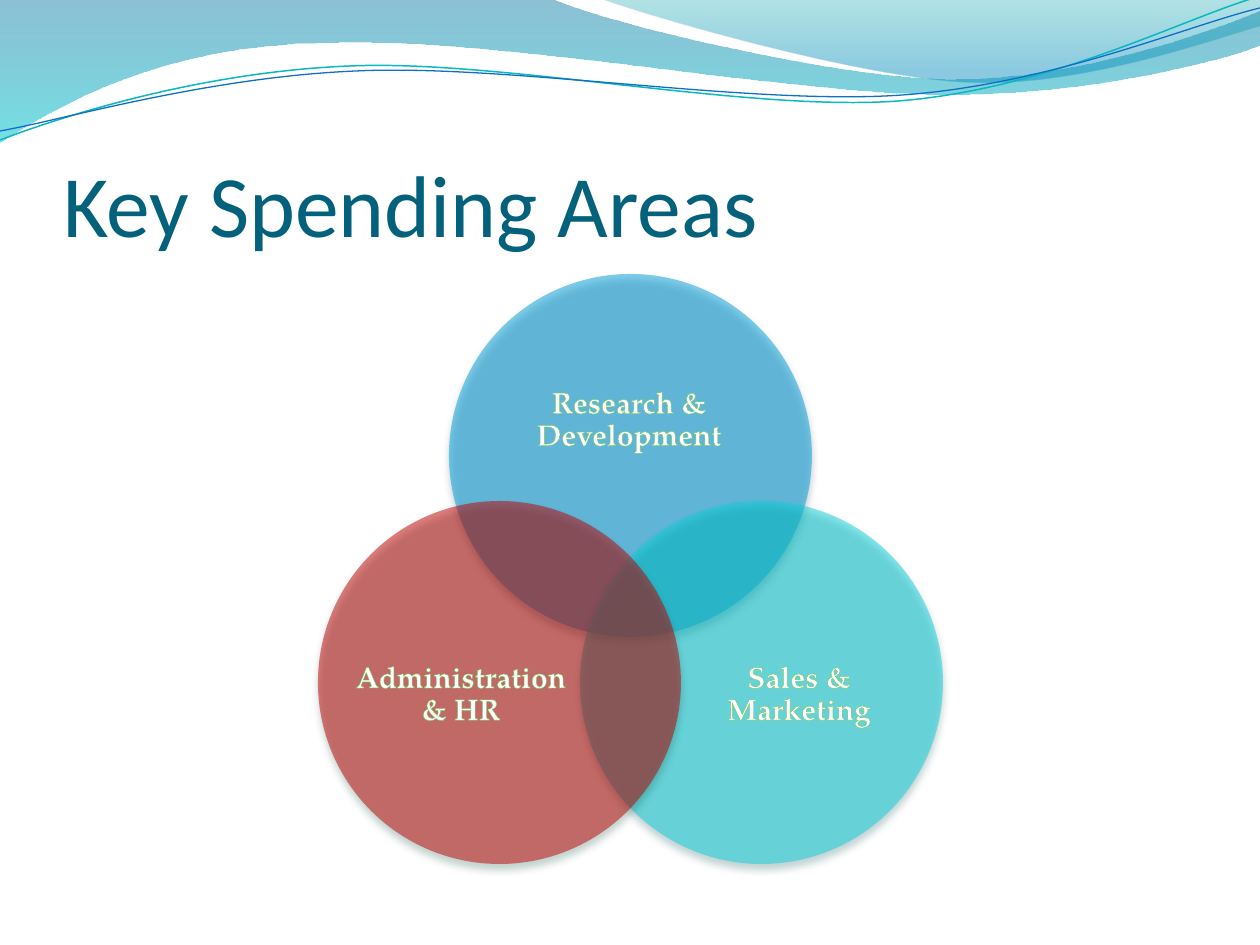
"""Build the Key Spending Areas slide with a wave header and a three-circle Venn diagram."""
from typing import NamedTuple

from lxml import etree
from pptx import Presentation
from pptx.dml.color import RGBColor
from pptx.enum.shapes import MSO_SHAPE
from pptx.enum.text import MSO_ANCHOR, MSO_AUTO_SIZE, PP_ALIGN
from pptx.oxml.ns import qn
from pptx.util import Emu, Pt

CIRCLE = MSO_SHAPE.OVAL
MIDDLE, BOTTOM = MSO_ANCHOR.MIDDLE, MSO_ANCHOR.BOTTOM
CENTER, LEFT = PP_ALIGN.CENTER, PP_ALIGN.LEFT
NO_AUTOFIT = MSO_AUTO_SIZE.NONE
SCALE = 914400 / 126
DIAMETER = 363
TITLE_ONLY = 5

COLORS = {
    "title": "04617B", "label": "FFFFFF", "label_edge": "7CCA62",
    "research": "009DD9", "sales": "0BD0D9", "admin": "C00000",
    "research_shadow": "00374C", "sales_shadow": "024B4E", "admin_shadow": "044A37",
    "wave_blue": "0074A1", "wave_cyan": "00C6CF",
    "crest_teal": "00A1A9", "crest_blue": "008BBF",
    "line_teal": "0AB8BF", "line_blue": "0F6FC6",
}


class Stop(NamedTuple):
    position: float
    color: str
    opacity: int


class Outline(NamedTuple):
    """A start point and segments: one point is a line, three are a Bézier curve."""
    start: tuple
    segments: tuple


class Wave(NamedTuple):
    outline: Outline
    stops: tuple


class Ripple(NamedTuple):
    outline: Outline
    color: str
    points: float


class Area(NamedTuple):
    name: str
    color: str
    left: int
    top: int
    label_box: tuple


WAVES = (
    Wave(Outline((0, 0), (
        ((554, 0),),
        ((600, 21), (837, 79), (955, 79)),
        ((1075, 79), (1207, 33), (1260, 11)),
        ((1260, 45),),
        ((1239, 55), (1096, 96), (940, 94)),
        ((784, 94), (481, 35), (324, 43)),
        ((163, 45), (58, 105), (0, 142)))),
        (Stop(0, "wave_blue", 45), Stop(1, "wave_cyan", 55))),
    Wave(Outline((604, 0), (
        ((641, 14), (859, 78), (969, 82)),
        ((1079, 87), (1211, 40), (1260, 26)),
        ((1260, 0),))),
        (Stop(0, "crest_teal", 30), Stop(0.8, "crest_blue", 45))),
)
RIPPLES = (
    Ripple(Outline((0, 140), (
        ((60, 117), (199, 72), (349, 66)),
        ((498, 59), (747, 112), (898, 101)),
        ((1050, 89), (1182, 19), (1257, -3)))), "line_teal", 0.85),
    Ripple(Outline((0, 131), (
        ((59, 121), (207, 77), (357, 71)),
        ((508, 64), (752, 106), (903, 95)),
        ((1053, 84), (1186, 26), (1260, 8)))), "line_blue", 0.75),
)
AREAS = (
    Area("Research & Development", "research", 449, 274, (496, 338, 266, 164)),
    Area("Sales & Marketing", "sales", 580, 501, (690, 595, 218, 199)),
    Area("Administration & HR", "admin", 318, 501, (352, 595, 218, 199)),
)


def px(length: int) -> Emu:
    return Emu(round(length * SCALE))


def rgb(name: str) -> RGBColor:
    return RGBColor.from_string(COLORS[name])


def set_opacity(color_parent, percent: int) -> None:
    color = color_parent.find(".//" + qn("a:srgbClr"))
    etree.SubElement(color, qn("a:alpha"), val=str(percent * 1000))


def draw_outline(slide, outline: Outline, closed: bool):
    points = [point for segment in outline.segments for point in segment]
    builder = slide.shapes.build_freeform(*outline.start, scale=SCALE)
    builder.add_line_segments(points, close=closed)
    shape = builder.convert_to_shape()
    steps = iter(list(shape._element.iter(qn("a:lnTo"))))
    for segment in outline.segments:
        corners = [next(steps) for _ in segment]
        if len(corners) == 3:
            curve = etree.Element(qn("a:cubicBezTo"))
            corners[0].addprevious(curve)
            for corner in corners:
                curve.append(corner[0])
                corner.getparent().remove(corner)
    shape.shadow.inherit = False
    return shape


def draw_wave(slide, wave: Wave) -> None:
    shape = draw_outline(slide, wave.outline, True)
    shape.line.fill.background()
    shape.fill.gradient()
    shape.fill.gradient_angle = 270
    for target, stop in zip(shape.fill.gradient_stops, wave.stops):
        target.position = stop.position
        target.color.rgb = rgb(stop.color)
    for element, stop in zip(shape._element.iter(qn("a:gs")), wave.stops):
        set_opacity(element, stop.opacity)


def draw_ripple(slide, ripple: Ripple) -> None:
    shape = draw_outline(slide, ripple.outline, False)
    shape.fill.background()
    shape.line.color.rgb = rgb(ripple.color)
    shape.line.width = Pt(ripple.points)


def draw_circle(slide, area: Area) -> None:
    circle = slide.shapes.add_shape(
        CIRCLE, px(area.left), px(area.top), px(DIAMETER), px(DIAMETER))
    circle.fill.solid()
    circle.fill.fore_color.rgb = rgb(area.color)
    set_opacity(circle._element.spPr.find(qn("a:solidFill")), 50)
    circle.line.fill.background()
    circle.shadow.inherit = False
    effects = circle._element.spPr.find(qn("a:effectLst"))
    shadow = etree.SubElement(
        effects, qn("a:outerShdw"), blurRad=str(Pt(4.5)), dist=str(Pt(3)),
        dir="5400000", rotWithShape="0")
    etree.SubElement(shadow, qn("a:srgbClr"), val=COLORS[area.color + "_shadow"])
    set_opacity(shadow, 48)


def draw_label(slide, area: Area) -> None:
    frame = slide.shapes.add_textbox(*map(px, area.label_box)).text_frame
    frame.word_wrap = True
    frame.vertical_anchor = MIDDLE
    frame.margin_left = frame.margin_right = frame.margin_top = frame.margin_bottom = 0
    frame.text = area.name
    paragraph = frame.paragraphs[0]
    paragraph.alignment = CENTER
    paragraph.line_spacing = 0.9
    run = paragraph.runs[0]
    run.font.name, run.font.size, run.font.bold = "TeX Gyre Pagella", Pt(17), True
    run.font.color.rgb = rgb("label")
    edge = etree.Element(qn("a:ln"), w=str(Pt(0.8)))
    fill = etree.SubElement(edge, qn("a:solidFill"))
    etree.SubElement(fill, qn("a:srgbClr"), val=COLORS["label_edge"])
    run._r.get_or_add_rPr().insert(0, edge)


def set_title(slide, wording: str) -> None:
    title = slide.shapes.title
    title.left, title.top, title.width, title.height = map(px, (63, 97, 1134, 158))
    frame = title.text_frame
    frame.text = wording
    frame.auto_size = NO_AUTOFIT
    frame.vertical_anchor = BOTTOM
    frame.margin_left = frame.margin_right = frame.margin_bottom = 0
    frame.margin_top = px(6)
    frame.paragraphs[0].alignment = LEFT
    font = frame.paragraphs[0].runs[0].font
    font.name, font.size = "Calibri", Pt(50)
    font.color.rgb = rgb("title")


def main() -> None:
    deck = Presentation()
    deck.slide_width, deck.slide_height = px(1260), px(945)
    slide = deck.slides.add_slide(deck.slide_layouts[TITLE_ONLY])
    set_title(slide, "Key Spending Areas")
    for wave in WAVES:
        draw_wave(slide, wave)
    for ripple in RIPPLES:
        draw_ripple(slide, ripple)
    for area in AREAS:
        draw_circle(slide, area)
        draw_label(slide, area)
    deck.save("out.pptx")


if __name__ == "__main__":
    main()
